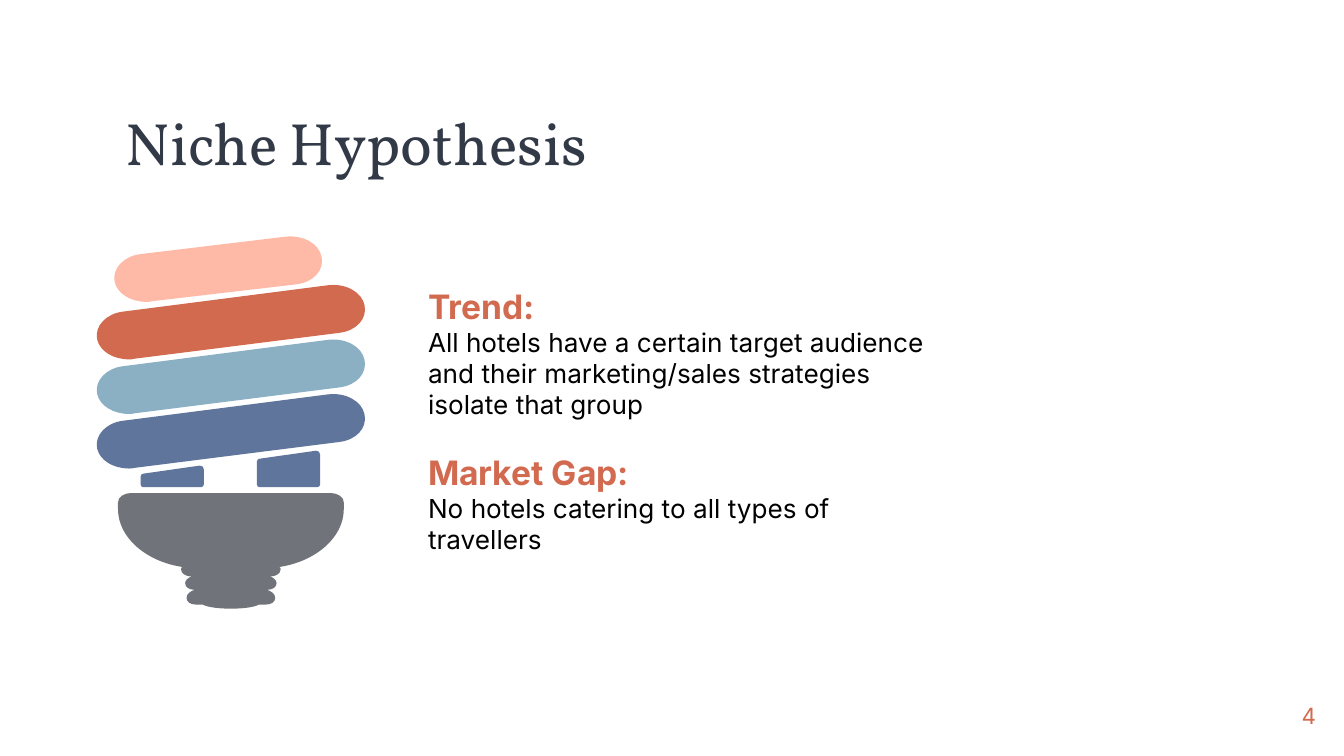
"""Build the Niche Hypothesis slide with its light bulb drawing."""
import lxml.etree
import pptx
import pptx.dml.color
import pptx.enum.text
import pptx.oxml.ns
import pptx.util

Cm = pptx.util.Cm
Pt = pptx.util.Pt
PP_ALIGN = pptx.enum.text.PP_ALIGN
ANCHOR = pptx.enum.text.MSO_ANCHOR
qn = pptx.oxml.ns.qn

GRID = Cm(0.0254)
COLORS = {
    "title": "333A47",
    "accent": "D26A50",
    "body": "000000",
    "pink": "FFB9A7",
    "sky": "8BB0C4",
    "navy": "5F759B",
    "gray": "707379",
}
SECTIONS = [
    ("Trend:", "All hotels have a certain target audience and their "
               "marketing/sales strategies isolate that group"),
    ("Market Gap:", "No hotels catering to all types of travellers"),
]
BASE_CENTER = 171.8
BASE_HALF = [
    [(-74, 367)],
    [(-80, 367), (-84, 370), (-84, 374)],
    [(-84, 379)],
    [(-84, 400), (-63, 418), (-36, 422)],
    [(-37, 422), (-37, 423), (-37, 424)],
    [(-37, 427), (-33, 429), (-30, 429)],
    [(-29, 429)],
    [(-32, 430), (-34, 432), (-34, 434)],
    [(-34, 437), (-31, 439), (-27, 439)],
    [(-30, 440), (-33, 442), (-33, 445)],
    [(-33, 448), (-30, 450), (-26, 450)],
    [(-21, 450)],
    [(-17, 452), (-9, 453), (0, 453)],
]


def color(name):
    return pptx.dml.color.RGBColor.from_string(COLORS[name])


def add_outline(group, segments, fill):
    """Add a filled outline; one point is a line, three are a cubic curve."""
    points = [(x * GRID, y * GRID) for segment in segments for x, y in segment]
    builder = group.shapes.build_freeform(*points[0])
    builder.add_line_segments(points[1:], close=True)
    shape = builder.convert_to_shape()
    lines = iter(list(shape.element.iter(qn("a:lnTo"))))
    for segment in segments[1:]:
        steps = [next(lines) for _ in segment]
        if len(steps) == 3:
            curve = lxml.etree.Element(qn("a:cubicBezTo"))
            steps[0].addprevious(curve)
            for step in steps:
                curve.append(step[0])
                step.getparent().remove(step)
    shape.shadow.inherit = False
    shape.fill.solid()
    shape.fill.fore_color.rgb = color(fill)
    shape.line.fill.background()


def add_coil(group, x, y, run, rise, fill):
    """Add a tilted pill that starts at its lower left end."""
    right, top = x + run, y - rise
    add_outline(group, [
        [(x, y)],
        [(x - 12, y), (x - 22, y - 6), (x - 24, y - 15)],
        [(x - 26, y - 25), (x - 17, y - 34), (x - 5, y - 35.5)],
        [(right, top)],
        [(right + 13, top - 1.5), (right + 25, top + 5), (right + 27, top + 15)],
        [(right + 29, top + 25), (right + 21, top + 34), (right + 8, top + 35.5)],
        [(x + 4, y - 0.5)],
        [(x + 2, y), (x + 1, y), (x, y)],
    ], fill)


def add_foot(group, left, top):
    """Add a sloped block that joins the coils to the base."""
    right, bottom = left + 47, 362.6
    add_outline(group, [
        [(right, bottom - 2)],
        [(right, top + 3)],
        [(right, top + 1), (right - 1, top), (right - 3, top)],
        [(left + 2, top + 6)],
        [(left + 1, top + 6), (left, top + 7), (left, top + 8)],
        [(left, bottom - 2)],
        [(left, bottom - 1), (left + 1, bottom), (left + 2, bottom)],
        [(right - 2, bottom)],
        [(right - 1, bottom), (right, bottom - 1), (right, bottom - 2)],
    ], "navy")


def add_base(group):
    """Add the socket, mirrored about its centre line."""
    left = [[(BASE_CENTER + x, y) for x, y in segment] for segment in BASE_HALF]
    right = []
    for before, segment in reversed(list(zip(left, left[1:]))):
        back = segment[-2::-1] + before[-1:]
        right.append([(2 * BASE_CENTER - x, y) for x, y in back])
    add_outline(group, left + right, "gray")


def add_bulb(page):
    group = page.shapes.add_group_shape()
    add_coil(group, 109.3, 224.7, 103, 48.5, "pink")
    for index, fill in enumerate(("accent", "sky", "navy")):
        add_coil(group, 96.3, 267.5 + 40.6 * index, 148, 55.2, fill)
    add_base(group)
    add_foot(group, 104.7, 346.5)
    add_foot(group, 191.2, 335.4)


def add_box(page, left, top, width, height, inset=0, anchor=ANCHOR.MIDDLE):
    box = page.shapes.add_textbox(Cm(left), Cm(top), Cm(width), Cm(height))
    frame = box.text_frame
    frame.word_wrap = True
    frame.vertical_anchor = anchor
    frame.margin_left = frame.margin_right = Cm(inset)
    frame.margin_top = frame.margin_bottom = Cm(inset)
    return frame


def write(para, text, size, fill, name="Inter", bold=False):
    para.text = text
    para.font.name = name
    para.font.size = Pt(size)
    para.font.bold = bold
    para.font.color.rgb = color(fill)


def add_title(page):
    para = add_box(page, 2.38, 2.08, 12.65, 1.35).paragraphs[0]
    para.line_spacing = 0.9
    write(para, "Niche Hypothesis", 32, "title", "Vollkorn")


def add_page_number(page):
    para = add_box(page, 23.35, 12.98, 1.52, 1.09).paragraphs[0]
    para.alignment = PP_ALIGN.RIGHT
    write(para, "4", 12, "accent")


def add_sections(page):
    frame = add_box(page, 7.84, 5.15, 10.36, 5.05, 0.25, ANCHOR.TOP)
    frame.auto_size = pptx.enum.text.MSO_AUTO_SIZE.SHAPE_TO_FIT_TEXT
    for index, (heading, body) in enumerate(SECTIONS):
        para = frame.add_paragraph() if index else frame.paragraphs[0]
        if index:
            para.space_before = Pt(17)
        write(para, heading, 18, "accent", bold=True)
        write(frame.add_paragraph(), body, 14, "body")


def main():
    deck = pptx.Presentation()
    deck.slide_width, deck.slide_height = Cm(25.4), Cm(14.29)
    page = deck.slides.add_slide(deck.slide_layouts[6])
    add_title(page)
    add_page_number(page)
    add_sections(page)
    add_bulb(page)
    deck.save("out.pptx")


if __name__ == "__main__":
    main()
